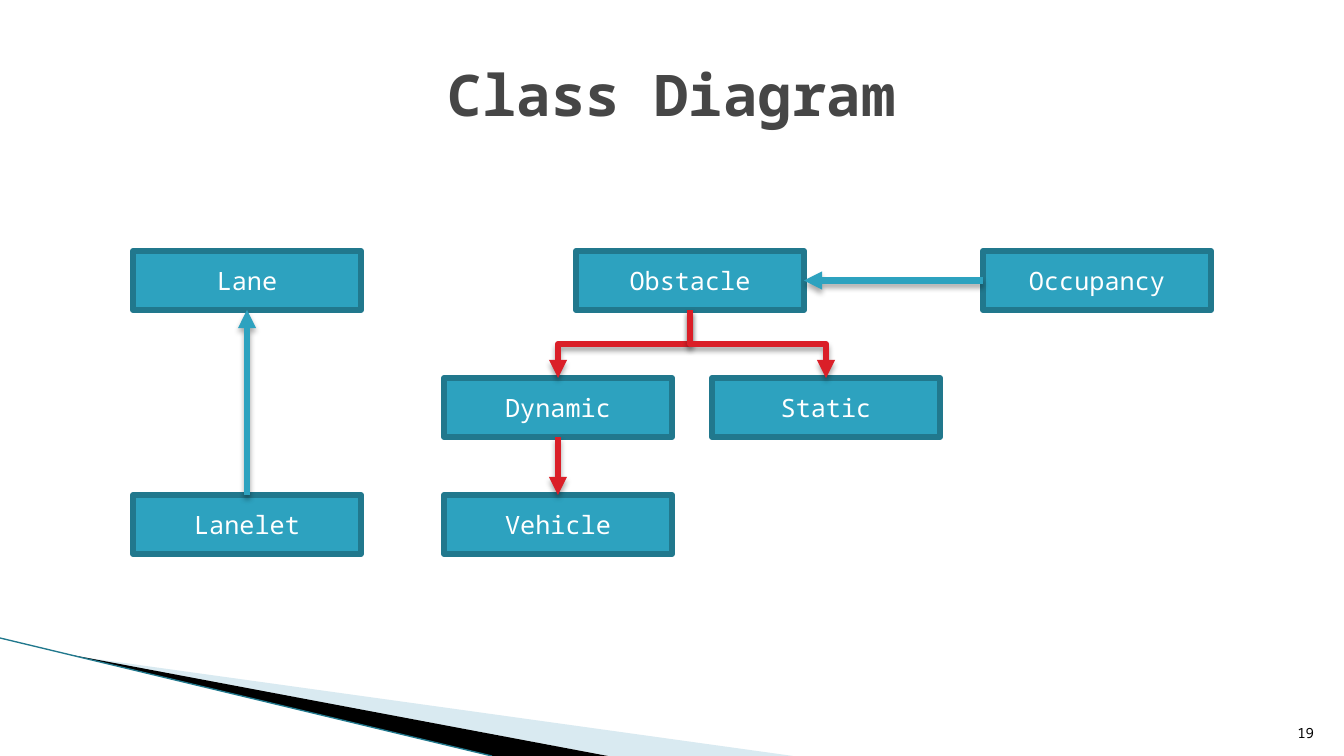
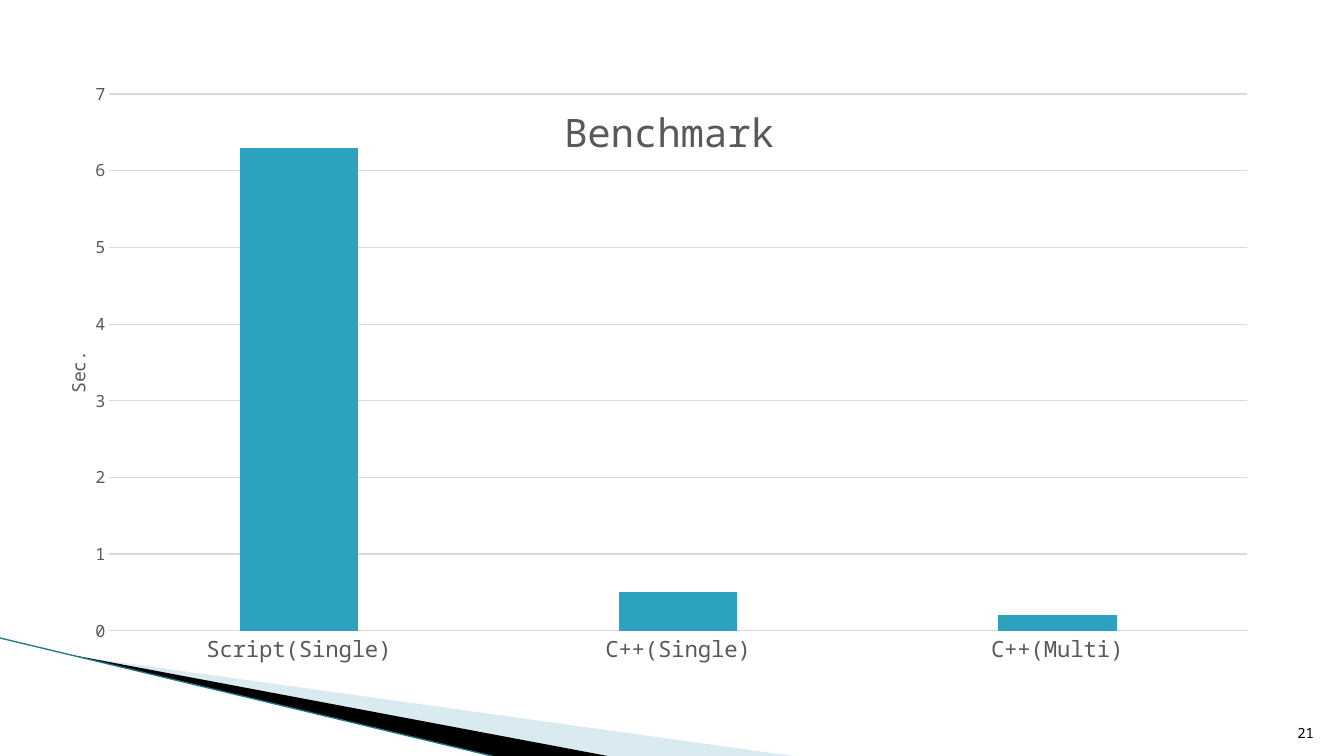
import lxml.etree
import pptx
import pptx.chart.data
import pptx.dml.color
import pptx.enum.chart
import pptx.enum.shapes
import pptx.enum.text
import pptx.oxml.ns
import pptx.util

PX = 914400 / 100.8
SLIDE_WIDTH, SLIDE_HEIGHT = 1344, 756
BOTTOM, LEFT, RIGHT, TOP = 2, 1, 3, 0  # connection sites of a rectangle


def px(length):
    return pptx.util.Emu(round(length * PX))


def rgb(hex_colour):
    return pptx.dml.color.RGBColor.from_string(hex_colour)


def add_xml(parent, tag, **attributes):
    child = lxml.etree.SubElement(parent, pptx.oxml.ns.qn(tag))
    for name, value in attributes.items():
        child.set(name, str(value))
    return child


def place_in_chart(element, index, inner=False, **fractions):
    """Give a chart part a manual layout, as fractions of the chart."""
    for automatic in element.findall(pptx.oxml.ns.qn("c:layout")):
        element.remove(automatic)
    layout = lxml.etree.Element(pptx.oxml.ns.qn("c:layout"))
    manual = add_xml(layout, "c:manualLayout")
    if inner:
        add_xml(manual, "c:layoutTarget", val="inner")
    for mode in ("xMode", "yMode"):
        add_xml(manual, f"c:{mode}", val="edge")
    for name, value in fractions.items():
        add_xml(manual, f"c:{name}", val=value)
    element.insert(index, layout)


class Deck:
    FONT = "Noto Sans Mono"
    TEAL, EDGE, RED = "2DA2BF", "21788D", "DA1F28"
    PALE, BLACK, WHITE = "A0CBDC", "000000", "FFFFFF"
    TITLE, LABEL, GRID = "464646", "595959", "D9D9D9"
    STROKE = 4.33
    BOX_WIDTH, BOX_HEIGHT = 228, 59

    def __init__(self):
        self.presentation = pptx.Presentation()
        self.presentation.slide_width = px(SLIDE_WIDTH)
        self.presentation.slide_height = px(SLIDE_HEIGHT)
        self.slide = None

    def new_slide(self, number):
        self.slide = self.presentation.slides.add_slide(
            self.presentation.slide_layouts[6])
        self.wedge([(74, 656), (793, 756), (608, 756)], self.PALE, 40)
        self.wedge([(72, 655), (608, 756), (492, 756)], self.BLACK)
        edge = self.slide.shapes.add_connector(
            pptx.enum.shapes.MSO_CONNECTOR.STRAIGHT,
            px(0), px(638), px(492), px(756))
        self.stroke(edge.line, self.EDGE, 0.95)
        add_xml(edge.element.spPr, "a:effectLst")
        self.text(str(number), 1271, 706, 53, 40, 10, self.BLACK,
                  pptx.enum.text.PP_ALIGN.RIGHT,
                  pptx.enum.text.MSO_ANCHOR.BOTTOM)

    def style_font(self, font, size, colour, bold=False):
        font.name = self.FONT
        font.size = pptx.util.Pt(size)
        font.bold = bold
        font.color.rgb = rgb(colour)

    def stroke(self, line, colour, width):
        line.color.rgb = rgb(colour)
        line.width = pptx.util.Pt(width)

    def wedge(self, points, colour, opacity=100):
        outline = self.slide.shapes.build_freeform(*points[0], scale=PX)
        outline.add_line_segments(points[1:], close=True)
        wedge = outline.convert_to_shape()
        wedge.shadow.inherit = False
        wedge.fill.solid()
        wedge.fill.fore_color.rgb = rgb(colour)
        wedge.line.fill.background()
        if opacity < 100:
            tint = wedge.element.spPr.find(".//" + pptx.oxml.ns.qn("a:srgbClr"))
            add_xml(tint, "a:alpha", val=opacity * 1000)

    def fill_text(self, frame, words, size, colour, align, anchor, bold=False):
        frame.word_wrap = True
        frame.vertical_anchor = anchor
        frame.text = words
        paragraph = frame.paragraphs[0]
        paragraph.alignment = align
        self.style_font(paragraph.runs[0].font, size, colour, bold)

    def text(self, words, left, top, width, height, size, colour, align,
             anchor, bold=False):
        box = self.slide.shapes.add_textbox(
            px(left), px(top), px(width), px(height))
        self.fill_text(box.text_frame, words, size, colour, align, anchor, bold)

    def title(self, words):
        self.text(words, 67, 31, 1210, 126, 41, self.TITLE,
                  pptx.enum.text.PP_ALIGN.CENTER,
                  pptx.enum.text.MSO_ANCHOR.MIDDLE, bold=True)

    def class_box(self, name, left, top):
        box = self.slide.shapes.add_shape(
            pptx.enum.shapes.MSO_SHAPE.RECTANGLE,
            px(left), px(top), px(self.BOX_WIDTH), px(self.BOX_HEIGHT))
        box.shadow.inherit = False
        box.fill.solid()
        box.fill.fore_color.rgb = rgb(self.TEAL)
        self.stroke(box.line, self.EDGE, self.STROKE)
        self.fill_text(box.text_frame, name, 18, self.WHITE,
                       pptx.enum.text.PP_ALIGN.CENTER,
                       pptx.enum.text.MSO_ANCHOR.MIDDLE)
        return box

    def arrow(self, source, source_side, target, target_side, colour,
              elbow=False):
        kinds = pptx.enum.shapes.MSO_CONNECTOR
        arrow = self.slide.shapes.add_connector(
            kinds.ELBOW if elbow else kinds.STRAIGHT, 0, 0, 0, 0)
        arrow.begin_connect(source, source_side)
        arrow.end_connect(target, target_side)
        if elbow:
            self.leave_downwards(arrow)
        self.stroke(arrow.line, colour, self.STROKE)
        properties = arrow.element.spPr
        add_xml(properties.find(pptx.oxml.ns.qn("a:ln")), "a:tailEnd",
                type="triangle")
        shadow = add_xml(add_xml(properties, "a:effectLst"), "a:outerShdw",
                         blurRad=pptx.util.Pt(4), dist=pptx.util.Pt(3),
                         dir=90 * 60000, rotWithShape=0)
        add_xml(add_xml(shadow, "a:srgbClr", val=self.BLACK), "a:alpha",
                val=35000)

    def leave_downwards(self, arrow):
        """Turn an elbow by 90 degrees, keeping both of its ends in place."""
        across = arrow.end_x - arrow.begin_x
        down = arrow.end_y - arrow.begin_y
        middle_x = (arrow.begin_x + arrow.end_x) // 2
        middle_y = (arrow.begin_y + arrow.end_y) // 2
        arrow.begin_x = middle_x - down // 2
        arrow.end_x = middle_x + down // 2
        arrow.begin_y = middle_y + across // 2
        arrow.end_y = middle_y - across // 2
        arrow.element.spPr.find(pptx.oxml.ns.qn("a:xfrm")).set(
            "rot", str(90 * 60000))

    def chart_words(self, title, words, size, x, y):
        title.text_frame.text = words
        run = title.text_frame.paragraphs[0].runs[0]
        self.style_font(run.font, size, self.LABEL)
        place_in_chart(title.element, 1, x=x, y=y)

    def column_chart(self, title, unit, values, top_value):
        data = pptx.chart.data.CategoryChartData()
        data.categories = list(values)
        data.add_series("Series 1", list(values.values()))
        chart = self.slide.shapes.add_chart(
            pptx.enum.chart.XL_CHART_TYPE.COLUMN_CLUSTERED,
            px(61), px(76), px(1210), px(603), data).chart
        chart.has_legend = False
        self.style_font(chart.font, 10, self.BLACK)

        plot = chart.plots[0]
        plot.gap_width, plot.overlap = 219, -27
        plot.vary_by_categories = False
        columns = plot.series[0].format.fill
        columns.solid()
        columns.fore_color.rgb = rgb(self.TEAL)

        categories, scale = chart.category_axis, chart.value_axis
        for axis, size in ((categories, 16), (scale, 12)):
            axis.major_tick_mark = pptx.enum.chart.XL_TICK_MARK.NONE
            axis.minor_tick_mark = pptx.enum.chart.XL_TICK_MARK.NONE
            self.style_font(axis.tick_labels.font, size, self.LABEL)
        self.stroke(categories.format.line, self.GRID, 0.75)
        scale.format.line.fill.background()
        scale.minimum_scale, scale.maximum_scale = 0, top_value
        scale.major_unit = 1
        scale.has_major_gridlines = True
        self.stroke(scale.major_gridlines.format.line, self.GRID, 0.75)

        chart.has_title = True
        self.chart_words(chart.chart_title, title, 28, 0.41, 0.03)
        scale.has_title = True
        self.chart_words(scale.axis_title, unit, 13, 0, 0.45)
        plot_area = chart.element.find(".//" + pptx.oxml.ns.qn("c:plotArea"))
        place_in_chart(plot_area, 0, inner=True, x=0.04, y=0.03, w=0.94, h=0.89)

    def save(self):
        self.presentation.save("out.pptx")


def class_diagram(deck):
    deck.new_slide(19)
    deck.title("Class Diagram")
    upper, middle, lower = 251, 378, 495
    lane = deck.class_box("Lane", 133, upper)
    lanelet = deck.class_box("Lanelet", 133, lower)
    obstacle = deck.class_box("Obstacle", 576, upper)
    dynamic = deck.class_box("Dynamic", 444, middle)
    static = deck.class_box("Static", 712, middle)
    vehicle = deck.class_box("Vehicle", 444, lower)
    occupancy = deck.class_box("Occupancy", 983, upper)

    deck.arrow(lanelet, TOP, lane, BOTTOM, deck.TEAL)
    deck.arrow(occupancy, LEFT, obstacle, RIGHT, deck.TEAL)
    for subclass in (dynamic, static):
        deck.arrow(obstacle, BOTTOM, subclass, TOP, deck.RED, elbow=True)
    deck.arrow(dynamic, BOTTOM, vehicle, TOP, deck.RED)


def benchmark(deck):
    deck.new_slide(21)
    seconds = {"Script(Single)": 6.3, "C++(Single)": 0.5, "C++(Multi)": 0.2}
    deck.column_chart("Benchmark", "Sec.", seconds, top_value=7)


def main():
    deck = Deck()
    class_diagram(deck)
    benchmark(deck)
    deck.save()


if __name__ == "__main__":
    main()
